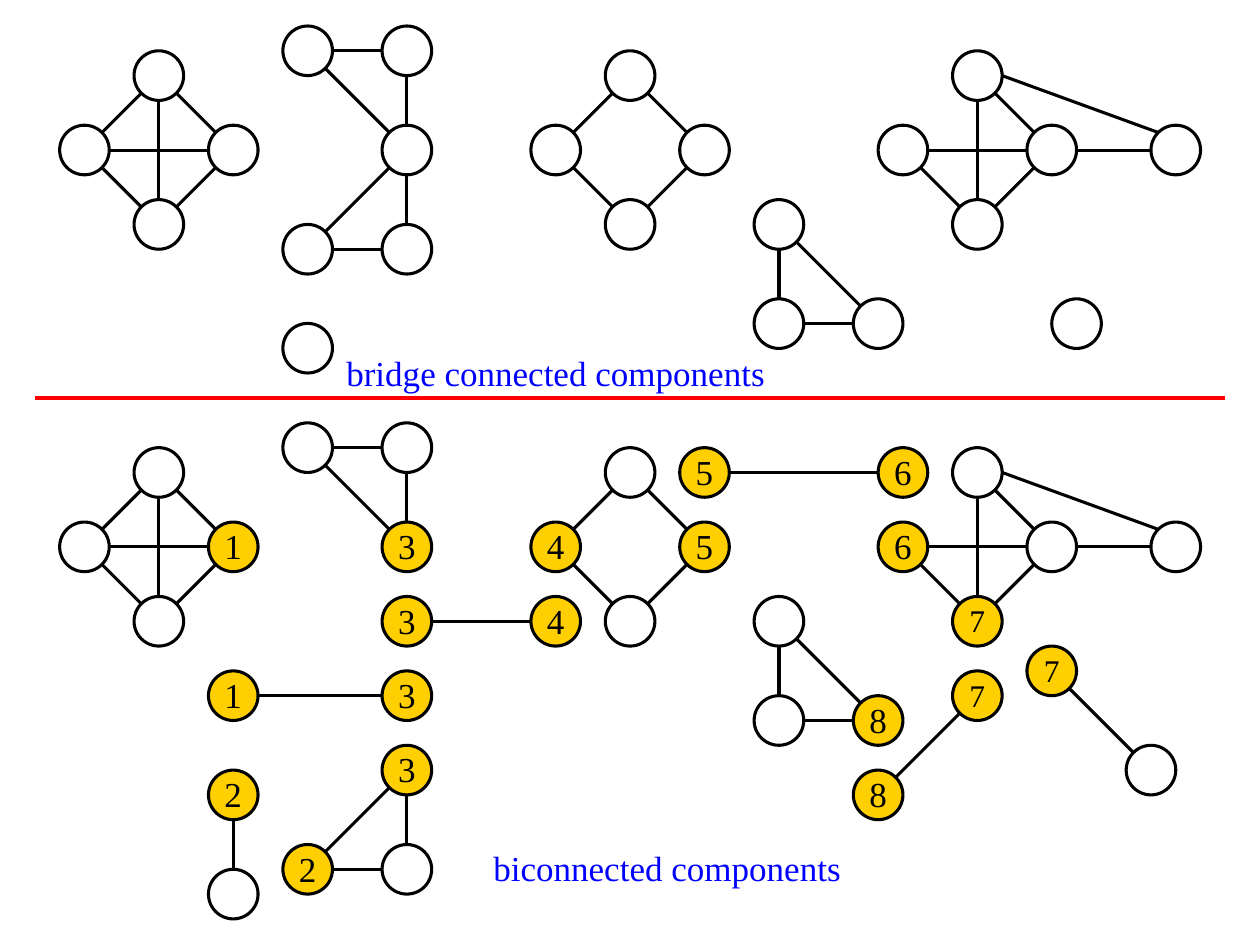
import math
from dataclasses import dataclass

import pptx
import pptx.dml.color
import pptx.enum.shapes
import pptx.enum.text
import pptx.oxml
import pptx.util
from pptx.util import Inches


def color(value):
    return pptx.dml.color.RGBColor.from_string(value)


@dataclass(frozen=True)
class Theme:
    font = "Times New Roman"
    black = color("000000")
    white = color("FFFFFF")
    gold = color("FFCF01")
    blue = color("0000FF")
    red = color("FF0000")
    text_size = pptx.util.Pt(20)
    small_size = pptx.util.Pt(18)
    edge_width = pptx.util.Pt(1.75)
    divider_width = pptx.util.Pt(2)


THEME = Theme()
UNIT = 0.5 / 2.54
RADIUS = UNIT
LEFT, TOP = 0.08, 0.01
LOWER = 16

CYCLE = [(0, 1), (1, 2), (2, 3), (3, 0)]
CROSSED = CYCLE + [(0, 2), (1, 3)]
TRIANGLE = [(0, 1), (1, 2), (2, 0)]
BOW_TIE = TRIANGLE + [(2, 3), (3, 4), (4, 2)]
KITE = [(1, 2), (2, 3), (3, 0), (0, 2), (1, 3), (2, 4), (1, 4)]
BRIDGE = [(0, 1)]


def diamond(column):
    return [(column - 3, 6), (column, 3), (column + 3, 6), (column, 9)]


def lowered(points):
    return [(column, row + LOWER) for column, row in points]


WHOLE = diamond(6)
SQUARE = diamond(25)
KITE_POINTS = diamond(39) + [(47, 6)]
CORNER = [(31, 9), (31, 13), (35, 13)]
UPPER_WING = [(12, 2), (16, 2), (16, 6)]

BRIDGE_CONNECTED = [
    (WHOLE, CROSSED, {}),
    (UPPER_WING + [(16, 10), (12, 10)], BOW_TIE, {}),
    (SQUARE, CYCLE, {}),
    (KITE_POINTS, KITE, {}),
    (CORNER, TRIANGLE, {}),
    ([(12, 13.99)], [], {}),
    ([(43, 13)], [], {}),
]

BICONNECTED = [
    (lowered(WHOLE), CROSSED, {2: "1"}),
    (lowered(UPPER_WING), TRIANGLE, {2: "3"}),
    (lowered(SQUARE), CYCLE, {0: "4", 2: "5"}),
    (lowered(KITE_POINTS), KITE, {0: "6", 3: "7"}),
    (lowered(CORNER), TRIANGLE, {2: "8"}),
    ([(12, 35), (16, 35), (16, 31)], TRIANGLE, {0: "2", 2: "3"}),
    ([(9, 28), (16, 28)], BRIDGE, {0: "1", 1: "3"}),
    ([(9, 32), (9, 36)], BRIDGE, {0: "2"}),
    ([(16, 25), (22, 25)], BRIDGE, {0: "3", 1: "4"}),
    ([(28, 19), (36, 19)], BRIDGE, {0: "5", 1: "6"}),
    ([(39, 28), (35, 32)], BRIDGE, {0: "7", 1: "8"}),
    ([(42, 27), (46, 31)], BRIDGE, {0: "7"}),
]


def apply(target, values):
    for name, value in values.items():
        setattr(target, name, value)


def place(point):
    column, row = point
    return LEFT + column * UNIT, TOP + row * UNIT


def sign(value):
    return (value > 0) - (value < 0)


def rim(center, across, down):
    reach = RADIUS / math.hypot(across, down)
    return center[0] + across * reach, center[1] + down * reach


def write(shape, text, size, ink, wrap, side):
    frame = shape.text_frame
    apply(frame, {
        "word_wrap": wrap,
        "vertical_anchor": pptx.enum.text.MSO_ANCHOR.MIDDLE,
        "margin_left": Inches(side), "margin_right": Inches(side),
        "margin_top": Inches(0.04), "margin_bottom": Inches(0.06),
    })
    para = frame.paragraphs[0]
    para.alignment = pptx.enum.text.PP_ALIGN.CENTER
    span = para.add_run()
    span.text = text
    apply(span.font, {"name": THEME.font, "size": size})
    span.font.color.rgb = ink


def add_line(page, start, end, ink, width):
    line = page.shapes.add_connector(
        pptx.enum.shapes.MSO_CONNECTOR.STRAIGHT,
        *(Inches(value) for value in (*start, *end)))
    line.line.color.rgb = ink
    line.line.width = width
    properties = line._element.spPr
    properties.append(pptx.oxml.parse_xml(
        '<a:effectLst xmlns:a="http://schemas.openxmlformats.org/drawingml/2006/main"/>'))


def add_edge(page, first, second):
    across, down = second[0] - first[0], second[1] - first[1]
    is_slanted = across and down and abs(across) != abs(down)
    start_down = 0 if is_slanted else sign(down)
    start = rim(place(first), sign(across), start_down)
    end = rim(place(second), -sign(across), -sign(down))
    add_line(page, start, end, THEME.black, THEME.edge_width)


def add_node(page, point, label):
    x, y = place(point)
    node = page.shapes.add_shape(
        pptx.enum.shapes.MSO_SHAPE.OVAL, Inches(x - RADIUS), Inches(y - RADIUS),
        Inches(2 * RADIUS), Inches(2 * RADIUS))
    node.shadow.inherit = False
    node.fill.solid()
    node.fill.fore_color.rgb = THEME.gold if label else THEME.white
    node.line.color.rgb = THEME.black
    node.line.width = THEME.edge_width
    if label:
        size = THEME.small_size if label == "7" else THEME.text_size
        write(node, label, size, THEME.black, False, 0.1)


def add_component(page, points, edges, labels):
    for first, second in edges:
        add_edge(page, points[first], points[second])
    for index, point in enumerate(points):
        add_node(page, point, labels.get(index))


def add_caption(page, text, left, top, width):
    box = page.shapes.add_textbox(
        Inches(left), Inches(top), Inches(width), Inches(0.39))
    write(box, text, THEME.text_size, THEME.blue, True, 0.08)


def main():
    deck = pptx.Presentation()
    apply(deck, {"slide_width": Inches(10), "slide_height": Inches(7.5)})
    page = deck.slides.add_slide(deck.slide_layouts[6])
    for points, edges, labels in BRIDGE_CONNECTED + BICONNECTED:
        add_component(page, points, edges, labels)
    add_line(page, (0.28, 3.16), (9.72, 3.16), THEME.red, THEME.divider_width)
    add_caption(page, "biconnected components", 3.82, 6.7, 2.95)
    add_caption(page, "bridge connected components", 2.64, 2.77, 3.54)
    deck.save("out.pptx")


if __name__ == "__main__":
    main()
